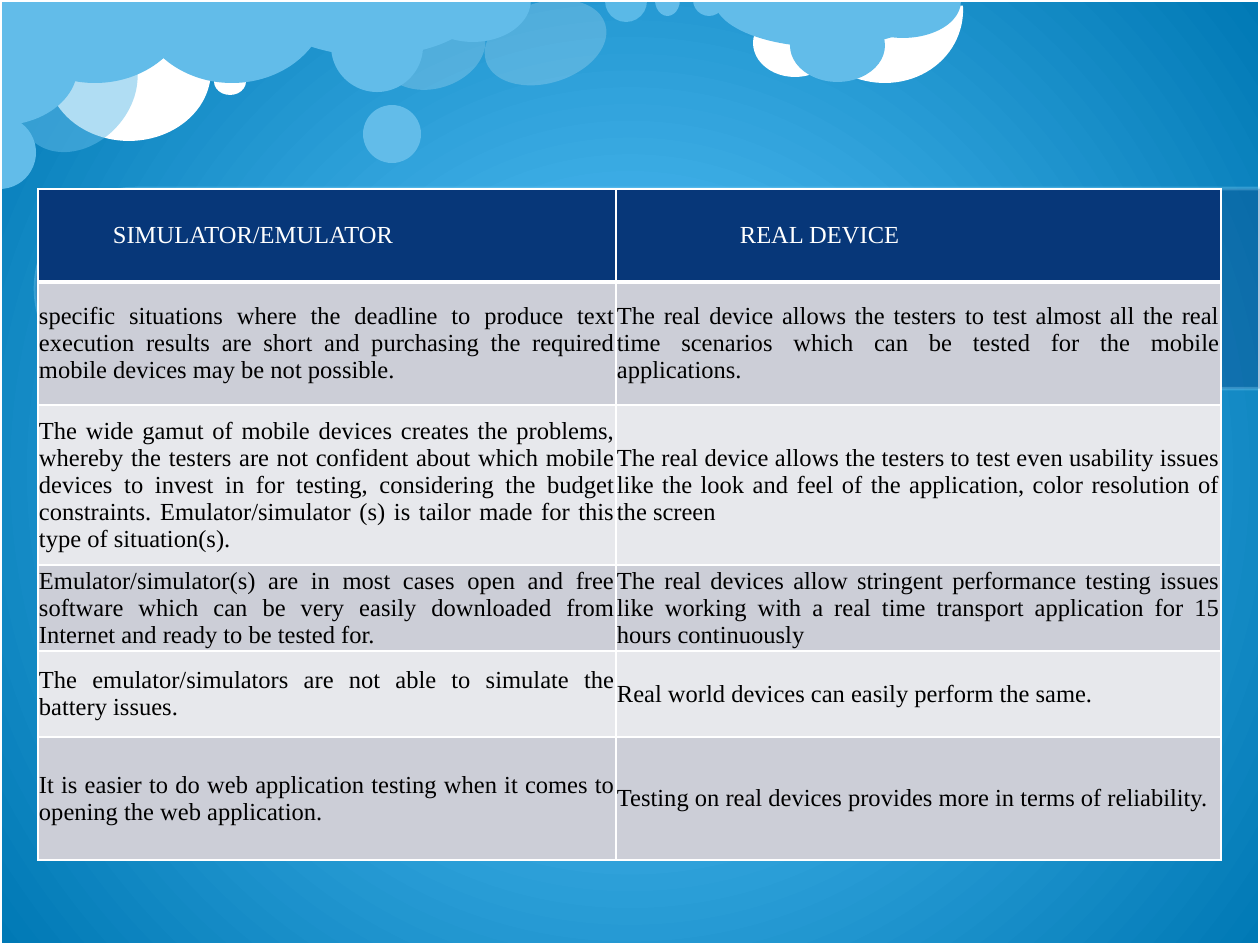
import lxml.etree
import pptx
import pptx.dml.color
import pptx.enum.shapes
import pptx.enum.text
import pptx.oxml.ns
import pptx.util

SHAPE = pptx.enum.shapes.MSO_SHAPE
PX = pptx.util.Inches(1) / 126
WIDTH, HEIGHT = 1260, 945
WHITE, BLACK, NAVY = "FFFFFF", "000000", "073779"
SKY, PALE_SKY = "62BCE9", "8FD9FB"
BANDS = ["CCCED7", "E7E8EC"]

# Adjustments are angles in 60000ths of a degree, divided by 100000.
ADJUSTMENTS = {SHAPE.PIE: [0, 108], SHAPE.ARC: [151.8, 44.48]}

# kind, left, top, width, height, colour, opacity in percent, rotation
CLOUDS = [
    (SHAPE.OVAL, 392, -6, 81, 108, WHITE, 20, 72.8),
    (SHAPE.OVAL, 47, 1, 164, 140, WHITE, 100, 0),
    (SHAPE.ARC, 805, -76, 152, 165, WHITE, 100, 106.5),
    (SHAPE.OVAL, 753, 9, 84, 68, WHITE, 100, 0),
    (SHAPE.PIE, -1, -83, 192, 166, SKY, 100, 0),
    (SHAPE.PIE, 262, -55, 221, 111, SKY, 100, 0),
    (SHAPE.OVAL, 363, 105, 58, 58, SKY, 100, 0),
    (SHAPE.OVAL, 24, 23, 107, 135, SKY, 50, 41.8),
    (SHAPE.PIE, -37, 116, 73, 73, SKY, 100, 270),
    (SHAPE.OVAL, 214, 68, 32, 27, WHITE, 100, 0),
    (SHAPE.PIE, 136, -83, 192, 166, SKY, 100, 0),
    (SHAPE.PIE, 714, -48, 221, 95, SKY, 100, 0),
    (SHAPE.OVAL, 790, 9, 95, 73, SKY, 100, 0),
    (SHAPE.PIE, 845, -35, 116, 73, SKY, 100, 0),
    (SHAPE.OVAL, 505, -20, 81, 125, WHITE, 20, 72.8),
    (SHAPE.PIE, 605, -20, 42, 42, PALE_SKY, 50, 0),
    (SHAPE.PIE, 655, -16, 25, 32, SKY, 100, 0),
    (SHAPE.PIE, 693, -16, 32, 32, SKY, 100, 0),
    (SHAPE.OVAL, 331, 0, 92, 92, SKY, 100, 0),
    (SHAPE.PIE, 415, -42, 116, 84, SKY, 100, 0),
    (SHAPE.PIE, -59, -11, 117, 156, SKY, 100, 270),
]

HEADINGS = ["SIMULATOR/EMULATOR", "REAL DEVICE"]
HEADING_INDENTS = [75, 124]
COMPARISONS = [
    ["specific situations where the deadline to produce text execution results are short and "
     "purchasing the required mobile devices may be not possible.",
     "The real device allows the testers to test almost all the real time scenarios which can be "
     "tested for the mobile applications."],
    ["The wide gamut of mobile devices creates the problems, whereby the testers are not confident "
     "about which mobile devices to invest in for testing, considering the budget constraints. "
     "Emulator/simulator (s) is tailor made for this type of situation(s).",
     "The real device allows the testers to test even usability issues like the look and feel of "
     "the application, color resolution of the screen"],
    ["Emulator/simulator(s) are in most cases open and free software which can be very easily "
     "downloaded from Internet and ready to be tested for.",
     "The real devices allow stringent performance testing issues like working with a real time "
     "transport application for 15 hours continuously"],
    ["The emulator/simulators are not able to simulate the battery issues.",
     "Real world devices can easily perform the same."],
    ["It is easier to do web application testing when it comes to opening the web application.",
     "Testing on real devices provides more in terms of reliability."],
]
COLUMN_WIDTHS = [578, 605]
ROW_HEIGHTS = [93, 123, 160, 86, 86, 123]


def px(length):
    return pptx.util.Emu(round(length * PX))


def color(value):
    return pptx.dml.color.RGBColor.from_string(value)


def add_xml(parent, tag, **attributes):
    return lxml.etree.SubElement(parent, pptx.oxml.ns.qn(tag), attributes)


def set_opacity(properties, percent):
    """Make every solid colour below the given XML element partly transparent."""
    if percent < 100:
        for solid in properties.iter(pptx.oxml.ns.qn("a:srgbClr")):
            add_xml(solid, "a:alpha", val=str(percent * 1000))


class SlideBuilder:
    font = "Times New Roman"
    size = 14

    def __init__(self, slide):
        self.slide = slide

    def background(self, center, edge):
        """Fill the slide with a circular gradient."""
        fill = self.slide.background.fill
        fill.gradient()
        for stop, value in zip(fill.gradient_stops, [center, edge]):
            stop.color.rgb = color(value)
        linear = next(self.slide.element.iter(pptx.oxml.ns.qn("a:lin")))
        gradient = linear.getparent()
        gradient.remove(linear)
        circle = add_xml(gradient, "a:path", path="circle")
        add_xml(circle, "a:fillToRect", l="50000", t="50000", r="50000", b="50000")

    def shape(self, kind, left, top, width, height, fill=None, opacity=100, rotation=0,
              line=None, adjustments=()):
        shape = self.slide.shapes.add_shape(kind, px(left), px(top), px(width), px(height))
        shape.shadow.inherit = False
        shape.rotation = rotation
        for index, value in enumerate(adjustments):
            shape.adjustments[index] = value
        if fill:
            shape.fill.solid()
            shape.fill.fore_color.rgb = color(fill)
        else:
            shape.fill.background()
        if line:
            shape.line.color.rgb = color(line)
            shape.line.width = pptx.util.Pt(2)
        else:
            shape.line.fill.background()
        set_opacity(shape.element.spPr, opacity)

    def table(self, left, top, widths, heights):
        frame = self.slide.shapes.add_table(len(heights), len(widths), px(left), px(top),
                                            px(sum(widths)), px(sum(heights)))
        table = frame.table
        table.horz_banding = False
        for column, width in zip(table.columns, widths):
            column.width = px(width)
        for row, height in zip(table.rows, heights):
            row.height = px(height)
        return table

    def cell(self, cell, text, fill, text_color, indent=1, top_border=1, bottom_border=1):
        cell.text_frame.text = text
        cell.vertical_anchor = pptx.enum.text.MSO_ANCHOR.MIDDLE
        cell.margin_left = px(indent)
        cell.margin_right = cell.margin_top = cell.margin_bottom = px(1)
        para = cell.text_frame.paragraphs[0]
        para.alignment = pptx.enum.text.PP_ALIGN.JUSTIFY
        font = para.runs[0].font
        font.name, font.size, font.bold = self.font, pptx.util.Pt(self.size), False
        font.color.rgb = color(text_color)
        properties = cell._tc.get_or_add_tcPr()
        borders = {"a:lnL": 1, "a:lnR": 1, "a:lnT": top_border, "a:lnB": bottom_border}
        for tag, width in borders.items():
            border = add_xml(properties, tag, w=str(pptx.util.Pt(width)))
            add_xml(add_xml(border, "a:solidFill"), "a:srgbClr", val=WHITE)
        cell.fill.solid()
        cell.fill.fore_color.rgb = color(fill)


def main():
    deck = pptx.Presentation()
    deck.slide_width, deck.slide_height = px(WIDTH), px(HEIGHT)
    builder = SlideBuilder(deck.slides.add_slide(deck.slide_layouts[6]))
    builder.background("5DC9FF", "0079B5")
    for cloud in CLOUDS:
        builder.shape(*cloud, adjustments=ADJUSTMENTS.get(cloud[0], ()))
    builder.shape(SHAPE.RECTANGLE, 0, 0, WIDTH, HEIGHT, line=WHITE)
    builder.shape(SHAPE.ROUND_2_SAME_RECTANGLE, 548, -324, 200, 1225, NAVY, 30, 270,
                  line=PALE_SKY, adjustments=[0.5, 0])

    table = builder.table(38, 189, COLUMN_WIDTHS, ROW_HEIGHTS)
    for column, (heading, indent) in enumerate(zip(HEADINGS, HEADING_INDENTS)):
        builder.cell(table.cell(0, column), heading, NAVY, WHITE, indent, bottom_border=3)
    for row, texts in enumerate(COMPARISONS, start=1):
        for column, text in enumerate(texts):
            builder.cell(table.cell(row, column), text, BANDS[(row - 1) % 2], BLACK,
                         top_border=3 if row == 1 else 1)
    deck.save("out.pptx")


if __name__ == "__main__":
    main()
